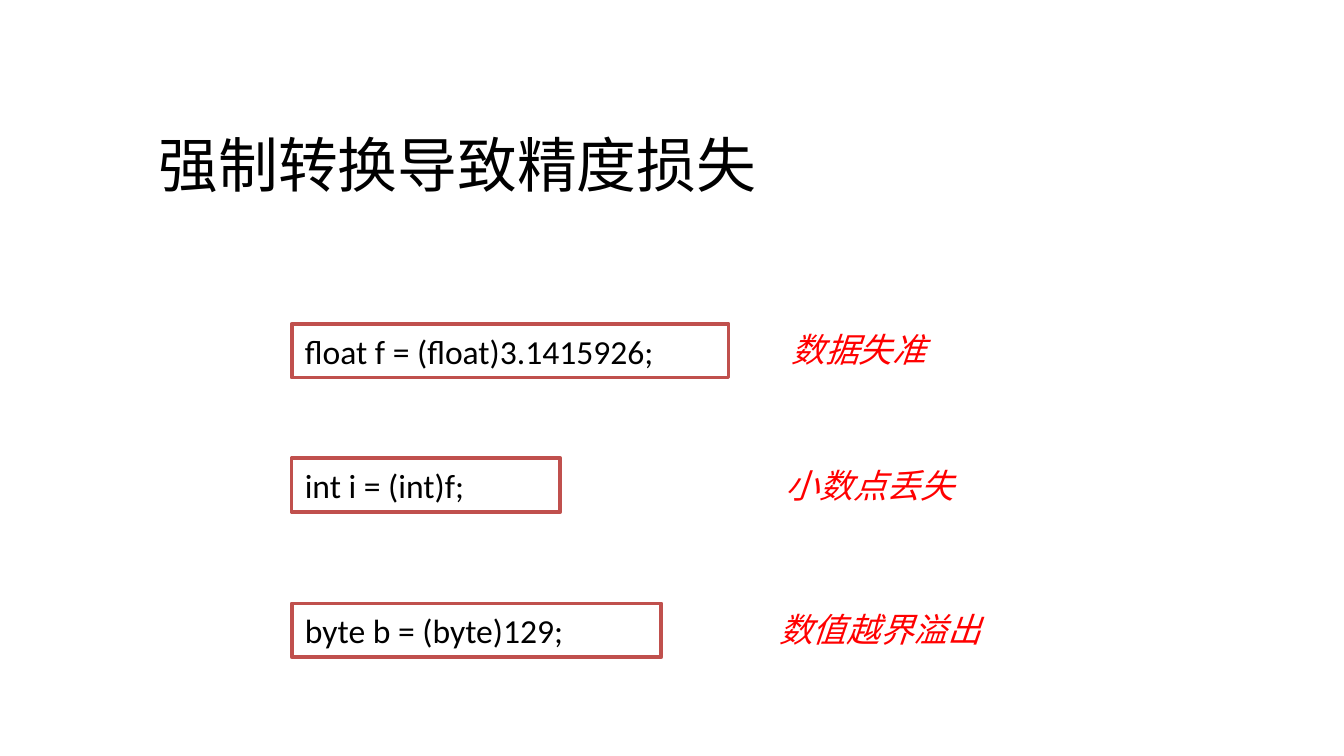
from lxml.etree import SubElement
from pptx import Presentation
from pptx.dml.color import RGBColor
from pptx.enum.lang import MSO_LANGUAGE_ID
from pptx.enum.shapes import MSO_SHAPE
from pptx.enum.text import MSO_ANCHOR, PP_ALIGN
from pptx.oxml.ns import qn
from pptx.util import Inches, Pt

COLORS = {"text": "000000", "note": "FF0000", "border": "C0504D", "paper": "FFFFFF"}
CHINESE_FONT = "Noto Sans CJK SC"
TITLE_FORMAT = {"size": Pt(32), "name": "Calibri",
                "language_id": MSO_LANGUAGE_ID.SIMPLIFIED_CHINESE}
CODE_FORMAT = {"size": Pt(18), "name": "Calibri"}
NOTE_FORMAT = {"size": Pt(18), "name": CHINESE_FONT, "italic": True,
               "language_id": MSO_LANGUAGE_ID.SIMPLIFIED_CHINESE}
CODE_LEFT, ROW_HEIGHT = 2.17, 0.4

# code, code top, code width, note, note left, note top, note width
CONVERSIONS = [
    ("float f = (float)3.1415926;", 2.41, 3.25, "数据失准", 5.79, 2.4, 1.21),
    ("int i = (int)f;", 3.41, 2, "小数点丢失", 5.75, 3.41, 1.46),
    ("byte b = (byte)129;", 4.49, 2.75, "数值越界溢出", 5.7, 4.48, 1.72),
]


def write(frame, words, color, formats, anchor, wrap=True):
    frame.word_wrap = wrap
    frame.vertical_anchor = anchor
    paragraph = frame.paragraphs[0]
    paragraph.alignment = PP_ALIGN.LEFT
    run = paragraph.add_run()
    run.text = words
    for key, value in formats.items():
        setattr(run.font, key, value)
    run.font.color.rgb = RGBColor.from_string(COLORS[color])
    SubElement(run.font._element, qn("a:ea"), typeface=CHINESE_FONT)


def add_title(slide, box, words):
    title = slide.shapes.title
    title.left, title.top, title.width, title.height = map(Inches, box)
    write(title.text_frame, words, "text", TITLE_FORMAT, MSO_ANCHOR.MIDDLE)


def add_code(slide, box, words):
    code = slide.shapes.add_shape(MSO_SHAPE.RECTANGLE, *map(Inches, box))
    code.shadow.inherit = False
    code.fill.solid()
    code.fill.fore_color.rgb = RGBColor.from_string(COLORS["paper"])
    code.line.color.rgb = RGBColor.from_string(COLORS["border"])
    code.line.width = Pt(2)
    write(code.text_frame, words, "text", CODE_FORMAT, MSO_ANCHOR.TOP)


def add_note(slide, box, words):
    note = slide.shapes.add_textbox(*map(Inches, box))
    write(note.text_frame, words, "note", NOTE_FORMAT, MSO_ANCHOR.TOP, wrap=False)


def main():
    deck = Presentation()
    deck.slide_width = Inches(10)
    deck.slide_height = deck.slide_width * 9 // 16
    slide = deck.slides.add_slide(deck.slide_layouts.get_by_name("Title Only"))
    add_title(slide, (1.08, 0.88, 6.08, 0.67), "强制转换导致精度损失")
    for code, code_top, code_width, note, note_left, note_top, note_width in CONVERSIONS:
        add_code(slide, (CODE_LEFT, code_top, code_width, ROW_HEIGHT), code)
        add_note(slide, (note_left, note_top, note_width, ROW_HEIGHT), note)
    deck.save("out.pptx")


if __name__ == "__main__":
    main()
